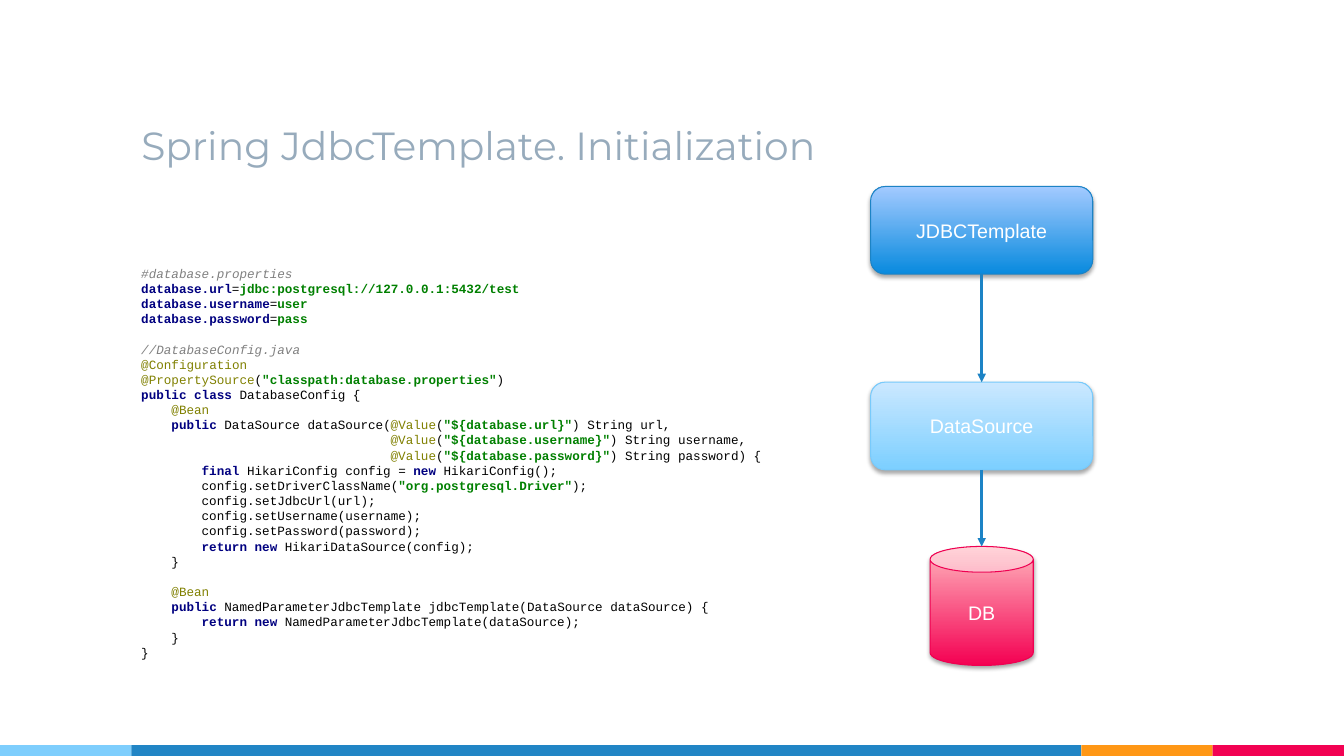
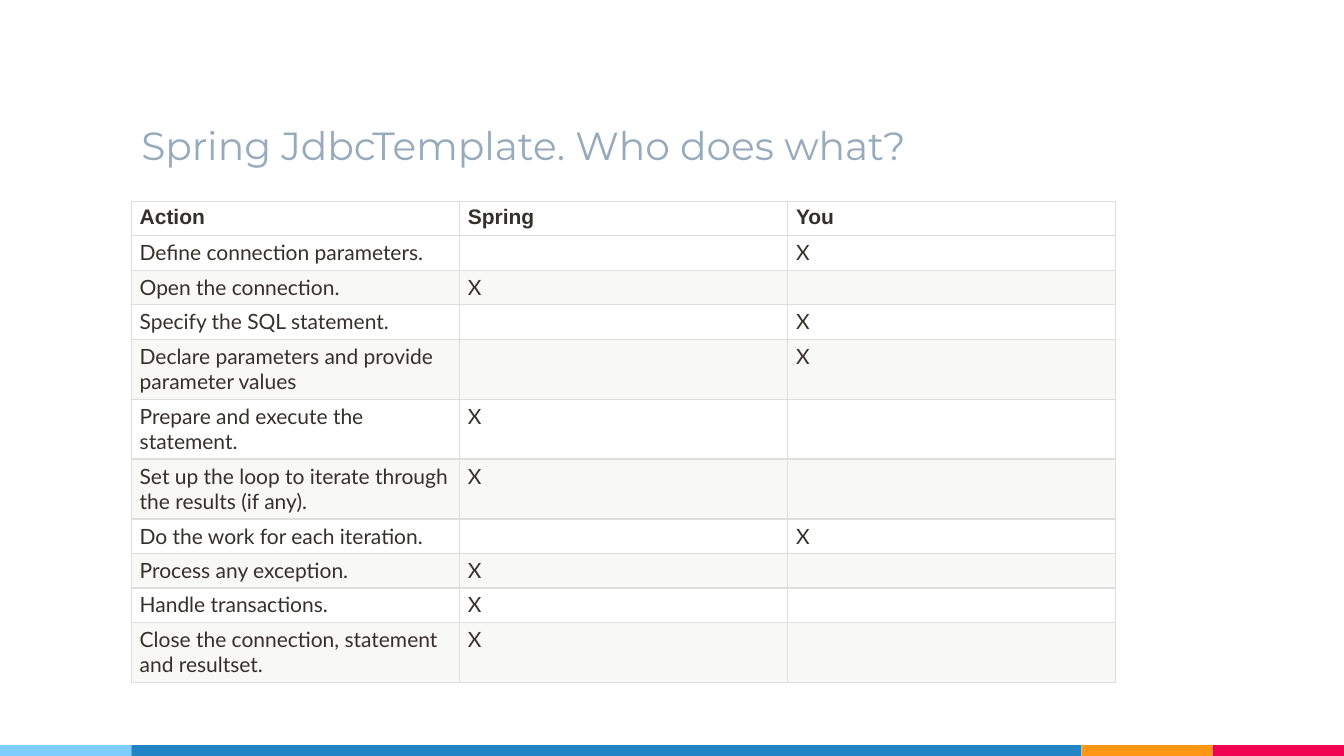
import pptx
import pptx.dml.color
import pptx.enum.shapes
import pptx.enum.text
import pptx.oxml
import pptx.oxml.ns
import pptx.util
from lxml import etree

Cm, Pt = pptx.util.Cm, pptx.util.Pt
SHAPE = pptx.enum.shapes.MSO_SHAPE
ANCHOR = pptx.enum.text.MSO_ANCHOR
ALIGN = pptx.enum.text.PP_ALIGN
qn = pptx.oxml.ns.qn

COLORS = {
    "title": "97ABBC", "white": "FFFFFF", "ink": "34302D",
    "sky": "7ECEFD", "blue": "2185C5", "orange": "FF9715", "red": "F20253",
    "template_low": "088ADE", "template_high": "A3CAFF", "template_line": "1C83C5",
    "source_low": "7CCFFF", "source_high": "CBE8FF", "source_line": "78CAFB",
    "db_low": "F40052", "db_high": "FFB6BE", "db_line": "EF0051",
    "comment": "808080", "keyword": "000080", "string": "008000",
    "annotation": "808000", "plain": "000000",
    "border": "DEDEDE", "stripe": "F8F8F7",
}
MARGIN, CONTENT_WIDTH = 3.31, 23.94
BANDS = [("sky", MARGIN), ("blue", CONTENT_WIDTH), ("orange", MARGIN), ("red", MARGIN)]

CODE_SIZE, CODE_PITCH, CHAR_WIDTH = 9, 10.83, 5.4
BOLD_STYLES = {"keyword", "string"}


def setting(key, value):
    """Return the tokens of one line of the properties file."""
    return [("keyword", f"database.{key}"), ("plain", "="), ("string", value)]


def parameter(key, ending):
    """Return the tokens of one injected method parameter."""
    return [("annotation", "@Value"), ("plain", "("),
            ("string", f'"${{database.{key}}}"'), ("plain", f") String {key}{ending}")]


def statement(keyword, rest):
    """Return the tokens of a line that opens with a keyword."""
    return [("keyword", keyword + " "), ("plain", rest)]


BEAN = [("annotation", "@Bean")]
CODE_BLOCKS = [
    [
        (0, [("comment", "#database.properties")]),
        (0, setting("url", "jdbc:postgresql://127.0.0.1:5432/test")),
        (0, setting("username", "user")),
        (0, setting("password", "pass")),
    ],
    [
        (0, [("comment", "//DatabaseConfig.java")]),
        (0, [("annotation", "@Configuration")]),
        (0, [("annotation", "@PropertySource"), ("plain", "("),
             ("string", '"classpath:database.properties"'), ("plain", ")")]),
        (0, statement("public class", "DatabaseConfig {")),
        (4, BEAN),
        (4, statement("public", "DataSource dataSource(") + parameter("url", ",")),
        (33, parameter("username", ",")),
        (33, parameter("password", ") {")),
        (8, statement("final", "HikariConfig config = ")
            + statement("new", "HikariConfig();")),
        (8, [("plain", "config.setDriverClassName("),
             ("string", '"org.postgresql.Driver"'), ("plain", ");")]),
        (8, [("plain", "config.setJdbcUrl(url);")]),
        (8, [("plain", "config.setUsername(username);")]),
        (8, [("plain", "config.setPassword(password);")]),
        (8, statement("return new", "HikariDataSource(config);")),
        (4, [("plain", "}")]),
    ],
    [
        (4, BEAN),
        (4, statement("public",
                      "NamedParameterJdbcTemplate jdbcTemplate(DataSource dataSource) {")),
        (8, statement("return new", "NamedParameterJdbcTemplate(dataSource);")),
        (4, [("plain", "}")]),
        (0, [("plain", "}")]),
    ],
]

HEADINGS = ("Action", "Spring", "You")
DUTIES = [
    ("Define connection parameters.", "You"),
    ("Open the connection.", "Spring"),
    ("Specify the SQL statement.", "You"),
    ("Declare parameters and provide parameter values", "You"),
    ("Prepare and execute the statement.", "Spring"),
    ("Set up the loop to iterate through the results (if any).", "Spring"),
    ("Do the work for each iteration.", "You"),
    ("Process any exception.", "Spring"),
    ("Handle transactions.", "Spring"),
    ("Close the connection, statement and resultset.", "Spring"),
]
WRAP_LENGTH = 32


def rgb(name):
    """Return the named colour."""
    return pptx.dml.color.RGBColor.from_string(COLORS[name])


def style_run(run, font, size, color, bold=False, italic=False):
    """Format one run of text."""
    run.font.name, run.font.size = font, Pt(size)
    run.font.bold, run.font.italic = bold, italic
    run.font.color.rgb = rgb(color)


def add_bands(slide):
    """Draw the coloured strip along the foot of the slide."""
    left = 0
    for color, width in BANDS:
        band = slide.shapes.add_shape(SHAPE.RECTANGLE, Cm(left), Cm(18.78),
                                      Cm(width), Cm(0.27))
        band.shadow.inherit = False
        band.fill.solid()
        band.fill.fore_color.rgb = rgb(color)
        band.line.fill.background()
        left += width


def add_titled_slide(deck, heading):
    """Add a slide with the shared title and strip."""
    slide = deck.slides.add_slide(deck.slide_layouts[5])
    add_bands(slide)
    title = slide.shapes.title
    title.left, title.top = Cm(MARGIN), Cm(1.32)
    title.width, title.height = Cm(CONTENT_WIDTH), Cm(3.18)
    frame = title.text_frame
    frame.text = heading
    frame.auto_size = pptx.enum.text.MSO_AUTO_SIZE.NONE
    frame.vertical_anchor = ANCHOR.BOTTOM
    frame.margin_left = frame.margin_right = Cm(0.25)
    frame.margin_top = frame.margin_bottom = Cm(0.25)
    frame.paragraphs[0].alignment = ALIGN.LEFT
    style_run(frame.paragraphs[0].runs[0], "Montserrat", 28, "title")
    return slide


def add_code(slide):
    """Write the highlighted listing, one paragraph a line."""
    listing = slide.shapes.add_textbox(Cm(MARGIN), Cm(6.53), Cm(16.41), Cm(10.26))
    listing.fill.solid()
    listing.fill.fore_color.rgb = rgb("white")
    frame = listing.text_frame
    frame.word_wrap = False
    frame.vertical_anchor = ANCHOR.MIDDLE
    frame.margin_left = Cm(0.25)
    line = frame.paragraphs[0]
    for block_number, block in enumerate(CODE_BLOCKS):
        for line_number, (indent, tokens) in enumerate(block):
            if block_number or line_number:
                line = frame.add_paragraph()
            line.alignment = ALIGN.LEFT
            line.line_spacing = Pt(CODE_PITCH)
            if block_number and line_number == 0:
                line.space_before = Pt(CODE_PITCH)
            line._p.get_or_add_pPr().set("marL", str(int(Pt(indent * CHAR_WIDTH))))
            for style, text in tokens:
                run = line.add_run()
                run.text = text
                style_run(run, "Courier New", CODE_SIZE, style,
                          style in BOLD_STYLES, style == "comment")


def add_shadow(node):
    """Give a diagram node its soft shadow straight below."""
    node.shadow.inherit = False
    effects = node.element.spPr.find(qn("a:effectLst"))
    shadow = etree.SubElement(effects, qn("a:outerShdw"), blurRad=str(Pt(3.1)),
                              dist=str(Pt(1.8)), dir="5400000", rotWithShape="0")
    black = etree.SubElement(shadow, qn("a:srgbClr"), val="000000")
    etree.SubElement(black, qn("a:alpha"), val="35000")


def add_node(slide, preset, label, palette, top, width, height):
    """Add one labelled gradient node on the diagram's axis."""
    axis = 24.74
    node = slide.shapes.add_shape(preset, Cm(axis - width / 2), Cm(top),
                                  Cm(width), Cm(height))
    node.fill.gradient()
    node.fill.gradient_angle = 90
    for stop, end in zip(node.fill.gradient_stops, ("low", "high")):
        stop.color.rgb = rgb(f"{palette}_{end}")
    node.line.color.rgb = rgb(f"{palette}_line")
    node.line.width = Pt(0.75)
    add_shadow(node)
    node.text_frame.text = label
    node.text_frame.vertical_anchor = ANCHOR.MIDDLE
    caption = node.text_frame.paragraphs[0]
    caption.alignment = ALIGN.CENTER
    style_run(caption.runs[0], "Arial", 14, "white")
    return node


def add_arrow(slide, upper, lower, top_site):
    """Join the foot of one node to the top of the next."""
    axis = lower.left + lower.width // 2
    arrow = slide.shapes.add_connector(pptx.enum.shapes.MSO_CONNECTOR.STRAIGHT,
                                       axis, upper.top + upper.height, axis, lower.top)
    arrow.begin_connect(upper, 2)
    arrow.end_connect(lower, top_site)
    arrow.begin_x = arrow.end_x = axis
    arrow.end_y = lower.top
    arrow.line.color.rgb = rgb("template_line")
    arrow.line.width = Pt(2)
    etree.SubElement(arrow.line._get_or_add_ln(), qn("a:tailEnd"), type="triangle")
    etree.SubElement(arrow.element.spPr, qn("a:effectLst"))


def add_borders(cell):
    """Draw a thin line on every side of a cell."""
    properties = cell._tc.get_or_add_tcPr()
    for side in ("a:lnL", "a:lnR", "a:lnT", "a:lnB"):
        border = etree.SubElement(properties, qn(side), w=str(Pt(1)))
        fill = etree.SubElement(border, qn("a:solidFill"))
        etree.SubElement(fill, qn("a:srgbClr"), val=COLORS["border"])


def fill_cell(cell, text, heading, striped):
    """Write and format one table cell."""
    cell.margin_left = cell.margin_right = Cm(0.21)
    cell.margin_top = cell.margin_bottom = Cm(0.11)
    add_borders(cell)
    if striped:
        cell.fill.solid()
        cell.fill.fore_color.rgb = rgb("stripe")
    else:
        cell.fill.background()
    cell.text_frame.text = text
    entry = cell.text_frame.paragraphs[0]
    for run in entry.runs:
        style_run(run, "Arial" if heading else "Lato", 15, "ink", bold=heading)
    if not text:
        etree.SubElement(entry._p, qn("a:endParaRPr"), sz="1500")


def add_duties(slide):
    """Build the table of who performs each action."""
    rows = [HEADINGS] + [
        (action, *("X" if owner == name else "" for name in HEADINGS[1:]))
        for action, owner in DUTIES
    ]
    table = slide.shapes.add_table(len(rows), len(HEADINGS), Cm(MARGIN), Cm(5.08),
                                   Cm(24.81), Cm(12.09)).table
    table.first_row = table.horz_banding = False
    for column in table.columns:
        column.width = Cm(8.27)
    for number, texts in enumerate(rows):
        table.rows[number].height = Cm(1.51 if len(texts[0]) > WRAP_LENGTH else 0.86)
        for place, text in enumerate(texts):
            fill_cell(table.cell(number, place), text, number == 0,
                      number > 0 and number % 2 == 0)


def build_initialization(deck):
    """Build the slide with the listing and the layers."""
    slide = add_titled_slide(deck, "Spring JdbcTemplate. Initialization")
    template = add_node(slide, SHAPE.ROUNDED_RECTANGLE, "JDBCTemplate", "template",
                        4.7, 5.6, 2.21)
    source = add_node(slide, SHAPE.ROUNDED_RECTANGLE, "DataSource", "source",
                      9.63, 5.6, 2.21)
    database = add_node(slide, SHAPE.CAN, "DB", "db", 13.77, 2.6, 3)
    add_arrow(slide, template, source, 0)
    add_arrow(slide, source, database, 1)
    add_code(slide)


def main():
    """Build and save the presentation."""
    deck = pptx.Presentation()
    deck.slide_width, deck.slide_height = Cm(33.87), Cm(19.05)
    build_initialization(deck)
    add_duties(add_titled_slide(deck, "Spring JdbcTemplate. Who does what?"))
    deck.save("out.pptx")


main()
